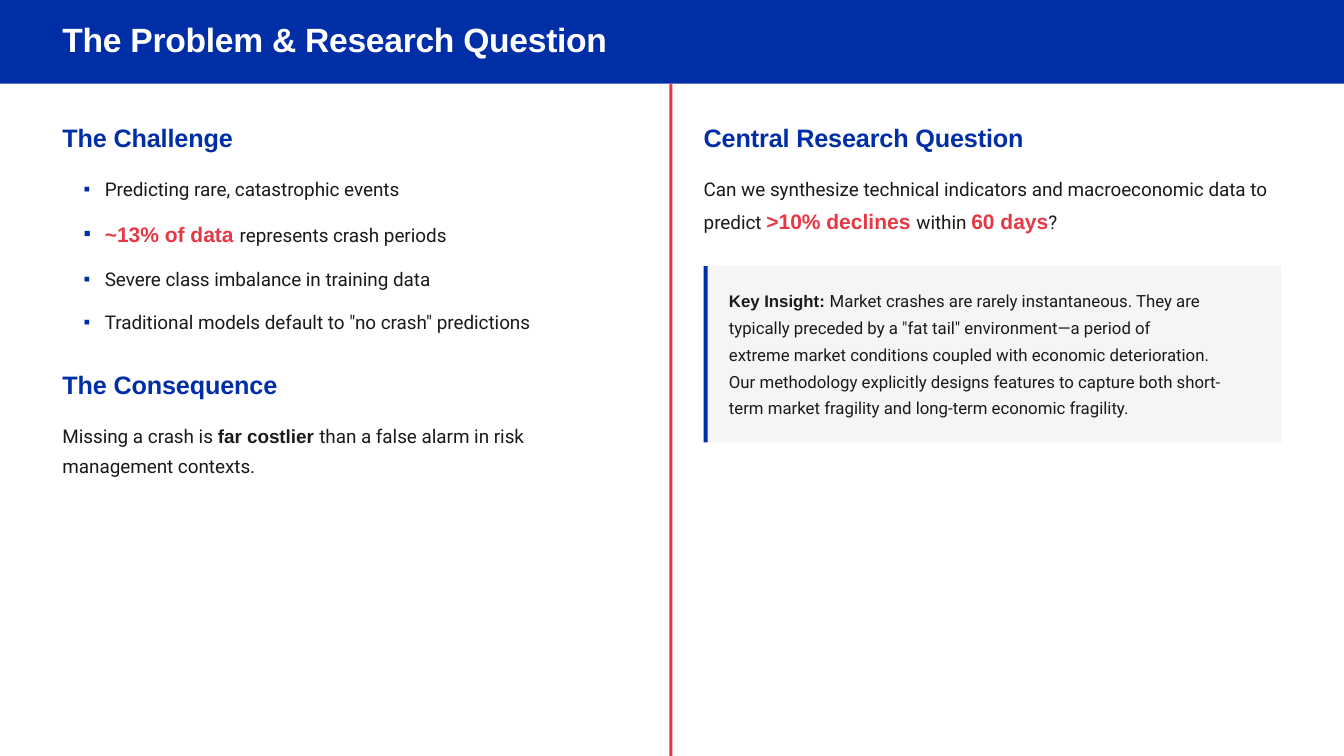
from lxml.etree import SubElement
from pptx import Presentation
from pptx.dml.color import RGBColor
from pptx.enum.shapes import MSO_SHAPE
from pptx.oxml.ns import qn
from pptx.util import Inches, Pt

HUES = {"blue": "002EA6", "red": "E63845", "ink": "1A1A1A",
        "pale": "F5F5F5", "white": "FFFFFF"}


class Deck:
    # style: font, size, bold, colour, letter spacing in 1/100 pt
    STYLES = {
        "title": ("Arial", 24, True, "white", -20),
        "head": ("Arial", 18, True, "blue", -10),
        "body": ("Roboto", 13.5, False, "ink", 0),
        "strong": ("Arial", 13.5, True, "ink", 0),
        "alert": ("Arial", 15, True, "red", 0),
        "note": ("Roboto", 12, False, "ink", 0),
        "label": ("Arial", 12, True, "ink", 0),
    }

    def __init__(self):
        self.prs = Presentation()
        self.prs.slide_width = Inches(13.33)
        self.prs.slide_height = Inches(7.5)
        self.slide = self.prs.slides.add_slide(self.prs.slide_layouts[6])

    def block(self, left, top, width, height, hue):
        box = self.slide.shapes.add_shape(
            MSO_SHAPE.RECTANGLE, *map(Inches, (left, top, width, height)))
        box.shadow.inherit = False
        box.fill.solid()
        box.fill.fore_color.rgb = RGBColor.from_string(HUES[hue])
        box.line.fill.background()

    def text(self, left, top, width, height, *paras):
        """Each paragraph is a pair: its format dict and its list of runs."""
        box = self.slide.shapes.add_textbox(
            *map(Inches, (left, top, width, height)))
        frame = box.text_frame
        form = {"word_wrap": True, "margin_left": 0, "margin_right": 0,
                "margin_top": Inches(0.01), "margin_bottom": 0}
        for key, value in form.items():
            setattr(frame, key, value)
        for i, (form, runs) in enumerate(paras):
            para = frame.paragraphs[0] if i == 0 else frame.add_paragraph()
            self.para(para, form, runs)

    def para(self, para, form, runs):
        form = dict(form)
        dents = form.pop("dents", {"marL": 0.01})
        dot = form.pop("dot", False)
        for key, value in form.items():
            setattr(para, key, value)
        props = para._p.get_or_add_pPr()
        for key, value in dents.items():
            props.set(key, str(Inches(value)))
        if dot:
            self.dot(props)
        for style, words in runs:
            if style == "break":
                para.add_line_break()
            else:
                self.run(para, style, words)

    def dot(self, props):
        hue = SubElement(props, qn("a:buClr"))
        SubElement(hue, qn("a:srgbClr"), val=HUES["blue"])
        SubElement(props, qn("a:buSzPts"), val="1350")
        SubElement(props, qn("a:buFont"), typeface="Arial")
        SubElement(props, qn("a:buChar"), char="▪")

    def run(self, para, style, words):
        name, size, bold, hue, gap = self.STYLES[style]
        run = para.add_run()
        run.text = words
        for key, value in {"name": name, "size": Pt(size), "bold": bold}.items():
            setattr(run.font, key, value)
        run.font.color.rgb = RGBColor.from_string(HUES[hue])
        run._r.get_or_add_rPr().set("spc", str(gap))


TOP = {"space_before": Pt(1)}
BODY = {"space_before": Pt(12.6), "line_spacing": 1.34}
POINT = {"space_before": Pt(15), "dot": True,
         "dents": {"marL": 0.43, "indent": -0.21}}
NOTE = {"space_before": Pt(36), "line_spacing": 1.33,
        "dents": {"marL": 0.26, "marR": 0.5}}

POINTS = [
    [("body", "Predicting rare, catastrophic events")],
    [("alert", "~13% of data "), ("body", "represents crash periods")],
    [("body", "Severe class imbalance in training data")],
    [("body", 'Traditional models default to "no crash" predictions')],
]


def main():
    deck = Deck()
    deck.block(0, 0, 13.33, 0.83, "blue")
    deck.block(6.64, 0.83, 0.03, 6.67, "red")
    deck.block(6.98, 2.64, 5.73, 1.75, "pale")
    deck.block(6.98, 2.64, 0.04, 1.75, "blue")

    deck.text(0.61, 0.18, 7.82, 0.53,
              (TOP, [("title", "The Problem & Research Question")]))
    deck.text(0.61, 1.2, 5.5, 2.15,
              (TOP, [("head", "The Challenge")]),
              *[(POINT | {"space_before": Pt(18.1)} if i == 0 else POINT, runs)
                for i, runs in enumerate(POINTS)])
    deck.text(0.61, 3.65, 4.66, 1.15,
              (TOP, [("head", "The Consequence")]),
              (BODY, [("body", "Missing a crash is "),
                      ("strong", "far costlier "),
                      ("body", "than a false alarm in risk management contexts.")]))
    deck.text(6.97, 1.2, 5.74, 2.93,
              (TOP, [("head", "Central Research Question")]),
              (BODY, [("body", "Can we synthesize technical indicators and "
                               "macroeconomic data to predict "),
                      ("alert", ">10% declines "), ("body", "within "),
                      ("alert", "60 days"), ("body", "?")]),
              (NOTE, [("label", "Key Insight: "),
                      ("note", "Market crashes are rarely instantaneous. They are "
                               'typically preceded by a "fat tail" environment—a '
                               "period of"),
                      ("break", ""),
                      ("note", "extreme market conditions coupled with economic "
                               "deterioration. Our methodology explicitly designs "
                               "features to capture both short-term market "
                               "fragility and long-term economic fragility.")]))
    deck.prs.save("out.pptx")


if __name__ == "__main__":
    main()
